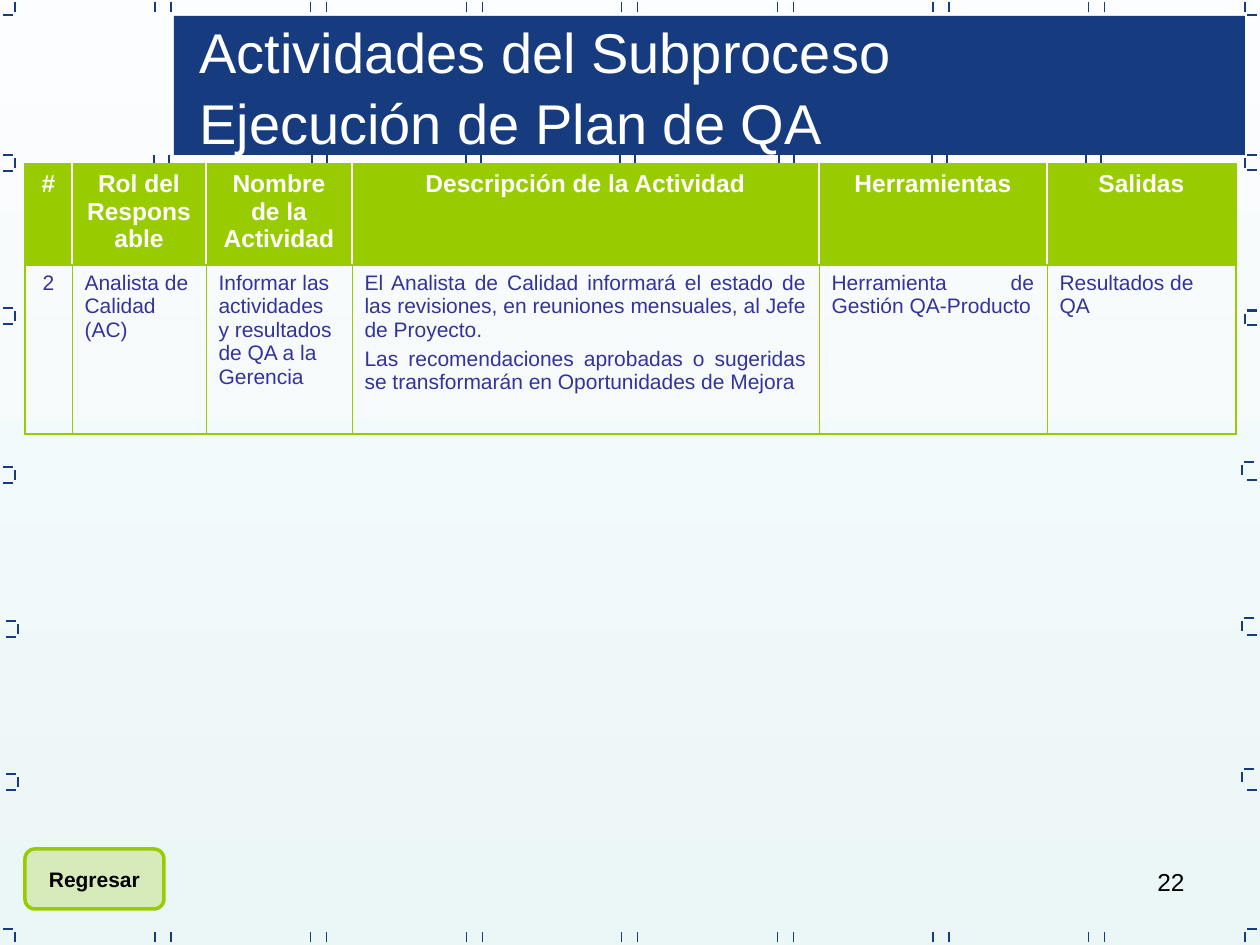
from dataclasses import dataclass

from lxml import etree
from pptx import Presentation
from pptx import util as u
from pptx.dml.color import RGBColor
from pptx.enum import shapes, text
from pptx.oxml import ns

PX_PER_INCH = 126
TICK = 10
ALIGN = {"l": text.PP_ALIGN.LEFT, "c": text.PP_ALIGN.CENTER,
         "r": text.PP_ALIGN.RIGHT, "j": text.PP_ALIGN.JUSTIFY}


@dataclass(frozen=True)
class Theme:
    font: str = "Arial"
    navy: str = "163B7F"
    green: str = "99CC00"
    indigo: str = "333399"
    white: str = "FFFFFF"
    black: str = "000000"
    sky_top: str = "FCFDFE"
    sky_bottom: str = "EBF6F7"
    title: int = 32
    header: int = 14
    body: int = 12
    outer_rule: float = 1.08
    header_rule: float = 0.75
    body_rule: float = 0.45


THEME = Theme()

COLUMNS = [
    (47, "#", "c", ["2"]),
    (134, "Rol del Responsable", "l", ["Analista de Calidad (AC)"]),
    (146, "Nombre de la Actividad", "l",
     ["Informar las actividades y resultados de QA a la Gerencia"]),
    (467, "Descripción de la Actividad", "j",
     ["El Analista de Calidad informará el estado de las revisiones, "
      "en reuniones mensuales, al Jefe de Proyecto.",
      "Las recomendaciones aprobadas o sugeridas se transformarán "
      "en Oportunidades de Mejora"]),
    (228, "Herramientas", "j", ["Herramienta de Gestión QA-Producto"]),
    (189, "Salidas", "l", ["Resultados de QA"]),
]


def px(*lengths):
    return [u.Emu(round(n * u.Inches(1) / PX_PER_INCH)) for n in lengths]


def rgb(code):
    return RGBColor.from_string(code)


def write(frame, lines, size, color, align="l", bold=False, gap=0, spacing=None):
    """Put each line in its own paragraph, with gap points between them."""
    for index, line in enumerate(lines):
        para = frame.add_paragraph() if index else frame.paragraphs[0]
        para.alignment = ALIGN[align]
        para.line_spacing = spacing
        if index and gap:
            para.space_before = u.Pt(gap)
        span = para.add_run()
        span.text = line
        span.font.name = THEME.font
        span.font.size = u.Pt(size)
        span.font.bold = bold
        span.font.color.rgb = rgb(color)


def add_text(page, area, lines, size, color, **style):
    frame = page.shapes.add_textbox(*px(*area)).text_frame
    frame.word_wrap = True
    write(frame, lines, size, color, **style)


def add_block(page, kind, area, fill):
    block = page.shapes.add_shape(kind, *px(*area))
    block.shadow.inherit = False
    block.fill.solid()
    block.fill.fore_color.rgb = rgb(fill)
    block.line.fill.background()
    return block


def add_line(page, x, y, dx, dy):
    line = page.shapes.add_connector(
        shapes.MSO_CONNECTOR.STRAIGHT, *px(x, y, x + dx, y + dy))
    line.line.color.rgb = rgb(THEME.navy)
    line.line.width = u.Pt(0.75)
    etree.SubElement(line._element.spPr, ns.qn("a:effectLst"))


def add_post(page, x, y):
    add_line(page, x, y, 0, TICK)


def add_dash(page, x, y):
    add_line(page, x, y, TICK, 0)


def add_edge_ticks(page):
    """Pairs of posts along the top and bottom, and below the title band."""
    for index in range(7):
        center = 163 + 155.6 * index
        for x in (center - 8, center + 8):
            add_post(page, x, 2)
            add_post(page, x, 932)
    for left in (154, 312, 466, 620, 779, 932, 1086):
        add_post(page, left, 155)
        add_post(page, left + 15, 155)


def add_side_ticks(page):
    """Brackets down both sides; the corners have one dash only."""
    for x, top in ((15, 2), (15, 158), (15, 311), (15, 470),
                   (18, 624), (18, 777), (15, 932)):
        add_post(page, x, top)
        if top > 2:
            add_dash(page, x - 12, top - 3)
        if top < 932:
            add_dash(page, x - 12, top + 13)
    for x, top in ((1245, 2), (1245, 158), (1245, 314), (1242, 465),
                   (1242, 621), (1242, 772), (1245, 932)):
        add_post(page, x, top)
        if top > 2:
            add_dash(page, x + 2, top - 3)
    for index in range(6):
        add_dash(page, 1247, 15 + 155 * index)
    add_dash(page, 1247, 310)


def set_borders(cell, **sides):
    """Each side (L, R, T, B) is a pair of colour and points."""
    props = cell._tc.get_or_add_tcPr()
    for side in "LRTB":
        color, points = sides[side]
        line = etree.SubElement(props, ns.qn(f"a:ln{side}"), w=str(u.Pt(points)))
        fill = etree.SubElement(line, ns.qn("a:solidFill"))
        etree.SubElement(fill, ns.qn("a:srgbClr"), val=color)


def add_activity_table(page):
    widths = [column[0] for column in COLUMNS]
    heights = (101, 169)
    table = page.shapes.add_table(
        2, len(COLUMNS), *px(25, 164, sum(widths), sum(heights))).table
    table.first_row = table.horz_banding = False
    for row, height in zip(table.rows, px(*heights)):
        row.height = height
    outer = (THEME.green, THEME.outer_rule)
    middle = (THEME.green, THEME.header_rule)
    last = len(COLUMNS) - 1
    for index, (width, heading, align, lines) in enumerate(COLUMNS):
        table.columns[index].width = px(width)[0]
        header, body = table.cell(0, index), table.cell(1, index)
        for cell, inner, top, bottom in (
                (header, (THEME.white, THEME.header_rule), outer, middle),
                (body, (THEME.green, THEME.body_rule), middle, outer)):
            set_borders(cell, L=inner if index else outer,
                        R=inner if index < last else outer, T=top, B=bottom)
        header.fill.solid()
        header.fill.fore_color.rgb = rgb(THEME.green)
        body.fill.background()
        write(header.text_frame, [heading], THEME.header, THEME.white, "c", bold=True)
        write(body.text_frame, lines, THEME.body, THEME.indigo, align, gap=3)


def add_button(page, area, label):
    button = add_block(page, shapes.MSO_SHAPE.FLOWCHART_ALTERNATE_PROCESS,
                       area, THEME.green)
    color = button._element.spPr.find(".//" + ns.qn("a:srgbClr"))
    etree.SubElement(color, ns.qn("a:alpha"), val="25000")
    button.line.color.rgb = rgb(THEME.green)
    button.line.width = u.Pt(2)
    frame = button.text_frame
    frame.word_wrap = False
    frame.vertical_anchor = text.MSO_ANCHOR.MIDDLE
    write(frame, [label], THEME.body, THEME.black, "c", bold=True)


def paint_background(page):
    fill = page.background.fill
    fill.gradient()
    fill.gradient_angle = 270
    for stop, color in zip(fill.gradient_stops, (THEME.sky_top, THEME.sky_bottom)):
        stop.color.rgb = rgb(color)


def main():
    deck = Presentation()
    deck.slide_width, deck.slide_height = px(1260, 945)
    page = deck.slides.add_slide(deck.slide_layouts[6])
    paint_background(page)
    add_text(page, (903, 861, 294, 66), ["22"], THEME.header, THEME.black, align="r")
    add_edge_ticks(page)
    add_side_ticks(page)
    add_block(page, shapes.MSO_SHAPE.RECTANGLE, (174, 16, 1071, 139), THEME.navy)
    add_activity_table(page)
    add_text(page, (187, 8, 1048, 147),
             ["Actividades del Subproceso", "Ejecución de Plan de QA"],
             THEME.title, THEME.white, spacing=1.05)
    add_button(page, (25, 849, 139, 60), "Regresar")
    deck.save("out.pptx")


if __name__ == "__main__":
    main()
